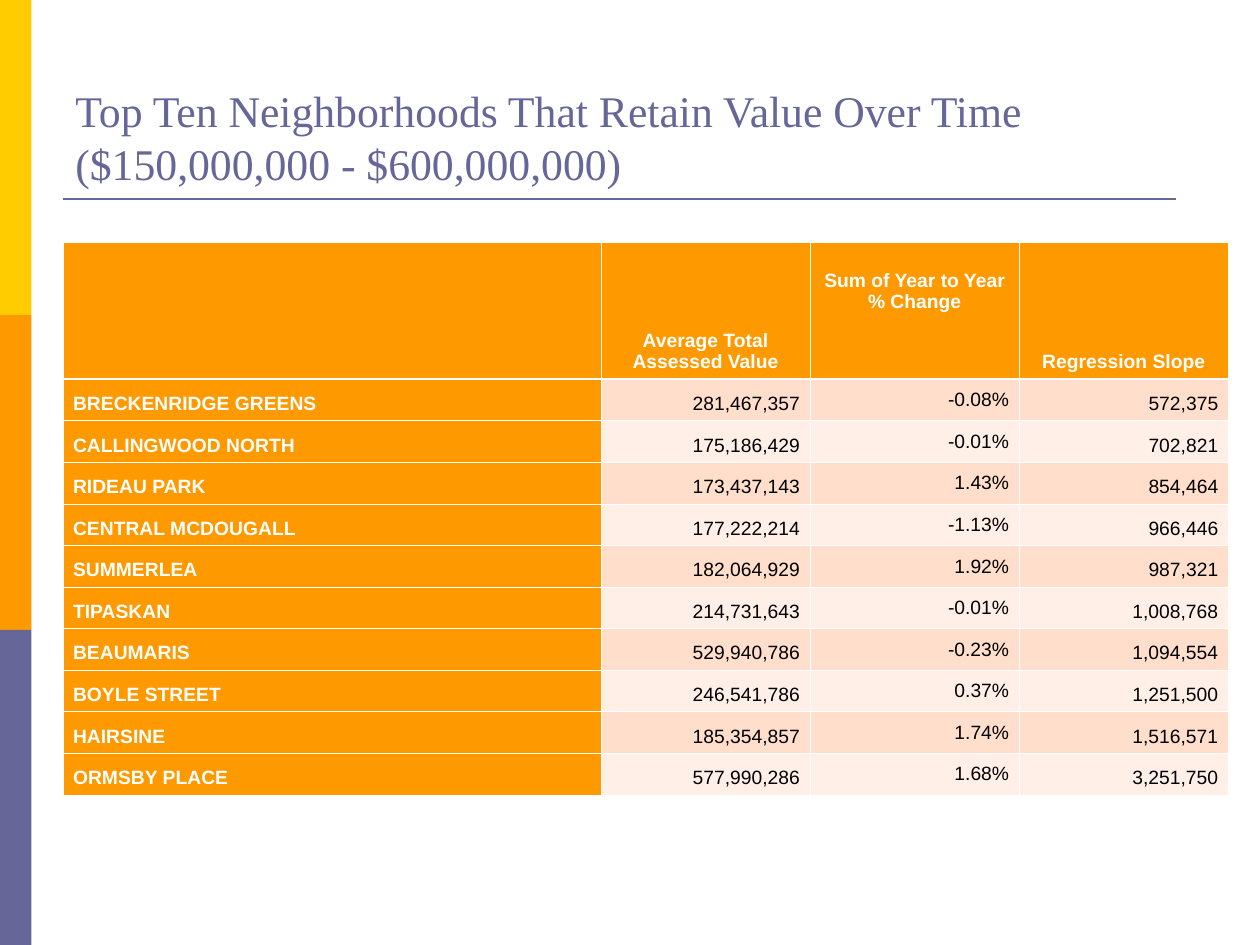
from pptx import Presentation
from pptx import util as u
from pptx.dml.color import RGBColor
from pptx.enum import shapes, text
from pptx.oxml import parse_xml
from pptx.oxml.ns import nsdecls
from lxml import etree

COLORS = {
    "yellow": "FFCC00",
    "orange": "FF9900",
    "violet": "666699",
    "peach": "FFDECB",
    "pale": "FFEFE7",
    "white": "FFFFFF",
    "black": "000000",
}

TITLE = "Top Ten Neighborhoods That Retain Value Over Time ($150,000,000 - $600,000,000)"
HEADINGS = ["", "Average Total Assessed Value", "Sum of Year to Year % Change", "Regression Slope"]
NEIGHBORHOODS = [
    ("BRECKENRIDGE GREENS", "281,467,357", "-0.08%", "572,375"),
    ("CALLINGWOOD NORTH", "175,186,429", "-0.01%", "702,821"),
    ("RIDEAU PARK", "173,437,143", "1.43%", "854,464"),
    ("CENTRAL MCDOUGALL", "177,222,214", "-1.13%", "966,446"),
    ("SUMMERLEA", "182,064,929", "1.92%", "987,321"),
    ("TIPASKAN", "214,731,643", "-0.01%", "1,008,768"),
    ("BEAUMARIS", "529,940,786", "-0.23%", "1,094,554"),
    ("BOYLE STREET", "246,541,786", "0.37%", "1,251,500"),
    ("HAIRSINE", "185,354,857", "1.74%", "1,516,571"),
    ("ORMSBY PLACE", "577,990,286", "1.68%", "3,251,750"),
]
COLUMN_WIDTHS = [4.27, 1.66, 1.66, 1.66]
HEADER_HEIGHT, ROW_HEIGHT = 1.09, 0.33
CHANGE_COLUMN = 2
THIN, THICK = 0.45, 1.47


def color(name):
    return RGBColor.from_string(COLORS[name])


def add_run(paragraph, words, font_name, size, color_name, bold=False):
    run = paragraph.add_run()
    run.text = words
    run.font.name = font_name
    run.font.size = u.Pt(size)
    run.font.bold = bold
    run.font.color.rgb = color(color_name)


def add_side_bands(slide):
    for index, name in enumerate(["yellow", "orange", "violet"]):
        band = slide.shapes.add_shape(
            shapes.MSO_SHAPE.RECTANGLE,
            u.Inches(0), u.Inches(2.5 * index), u.Inches(0.25), u.Inches(2.5))
        band.shadow.inherit = False
        band.fill.solid()
        band.fill.fore_color.rgb = color(name)
        band.line.fill.background()


def add_title_rule(slide):
    rule = slide.shapes.add_connector(
        shapes.MSO_CONNECTOR.STRAIGHT,
        u.Inches(0.5), u.Inches(1.58), u.Inches(9.33), u.Inches(1.58))
    rule.line.color.rgb = color("violet")
    rule.line.width = u.Pt(1.5)
    properties = rule._element.spPr
    etree.SubElement(properties, "{%s}effectLst" % properties.nsmap["a"])


def add_title(slide):
    title = slide.shapes.add_textbox(
        u.Inches(0.5), u.Inches(0.3), u.Inches(9), u.Inches(1.25))
    frame = title.text_frame
    frame.word_wrap = True
    frame.vertical_anchor = text.MSO_ANCHOR.BOTTOM
    add_run(frame.paragraphs[0], TITLE, "Times New Roman", 25, "violet")


def add_borders(cell, row):
    widths = {
        "lnL": THIN,
        "lnR": THIN,
        "lnT": THICK if row == 1 else THIN,
        "lnB": THICK if row == 0 else THIN,
    }
    properties = cell._tc.get_or_add_tcPr()
    for side, width in widths.items():
        properties.append(parse_xml(
            f'<a:{side} {nsdecls("a")} w="{u.Pt(width)}"><a:solidFill>'
            f'<a:srgbClr val="{COLORS["white"]}"/></a:solidFill></a:{side}>'))


def fill_cell(cell, row, column, words):
    is_label = row == 0 or column == 0
    add_borders(cell, row)
    cell.fill.solid()
    cell.fill.fore_color.rgb = color("orange" if is_label else "peach" if row % 2 else "pale")
    cell.margin_left = cell.margin_right = u.Inches(0.08)
    cell.margin_top = cell.margin_bottom = u.Inches(0.05)
    cell.vertical_anchor = text.MSO_ANCHOR.BOTTOM
    paragraph = cell.text_frame.paragraphs[0]
    if row == 0:
        paragraph.alignment = text.PP_ALIGN.CENTER
    elif column > 0:
        paragraph.alignment = text.PP_ALIGN.RIGHT
    if column == CHANGE_COLUMN:
        if row == 0:
            cell.vertical_anchor = text.MSO_ANCHOR.TOP
            cell.margin_top = u.Inches(0.22)
        else:
            cell.vertical_anchor = text.MSO_ANCHOR.MIDDLE
            paragraph.space_before = paragraph.space_after = u.Pt(2)
    if words:
        add_run(paragraph, words, "Arial", 11, "white" if is_label else "black", is_label)


def add_value_table(slide):
    rows = [HEADINGS, *NEIGHBORHOODS]
    heights = [HEADER_HEIGHT] + [ROW_HEIGHT] * len(NEIGHBORHOODS)
    table = slide.shapes.add_table(
        len(rows), len(HEADINGS), u.Inches(0.5), u.Inches(1.92),
        u.Inches(sum(COLUMN_WIDTHS)), u.Inches(sum(heights))).table
    for column, width in zip(table.columns, COLUMN_WIDTHS):
        column.width = u.Inches(width)
    for row, height in zip(table.rows, heights):
        row.height = u.Inches(height)
    for row, entries in enumerate(rows):
        for column, words in enumerate(entries):
            fill_cell(table.cell(row, column), row, column, words)


def main():
    presentation = Presentation()
    presentation.slide_width = u.Inches(10)
    presentation.slide_height = u.Inches(7.5)
    slide = presentation.slides.add_slide(presentation.slide_layouts[6])
    add_side_bands(slide)
    add_title_rule(slide)
    add_title(slide)
    add_value_table(slide)
    presentation.save("out.pptx")


if __name__ == "__main__":
    main()
